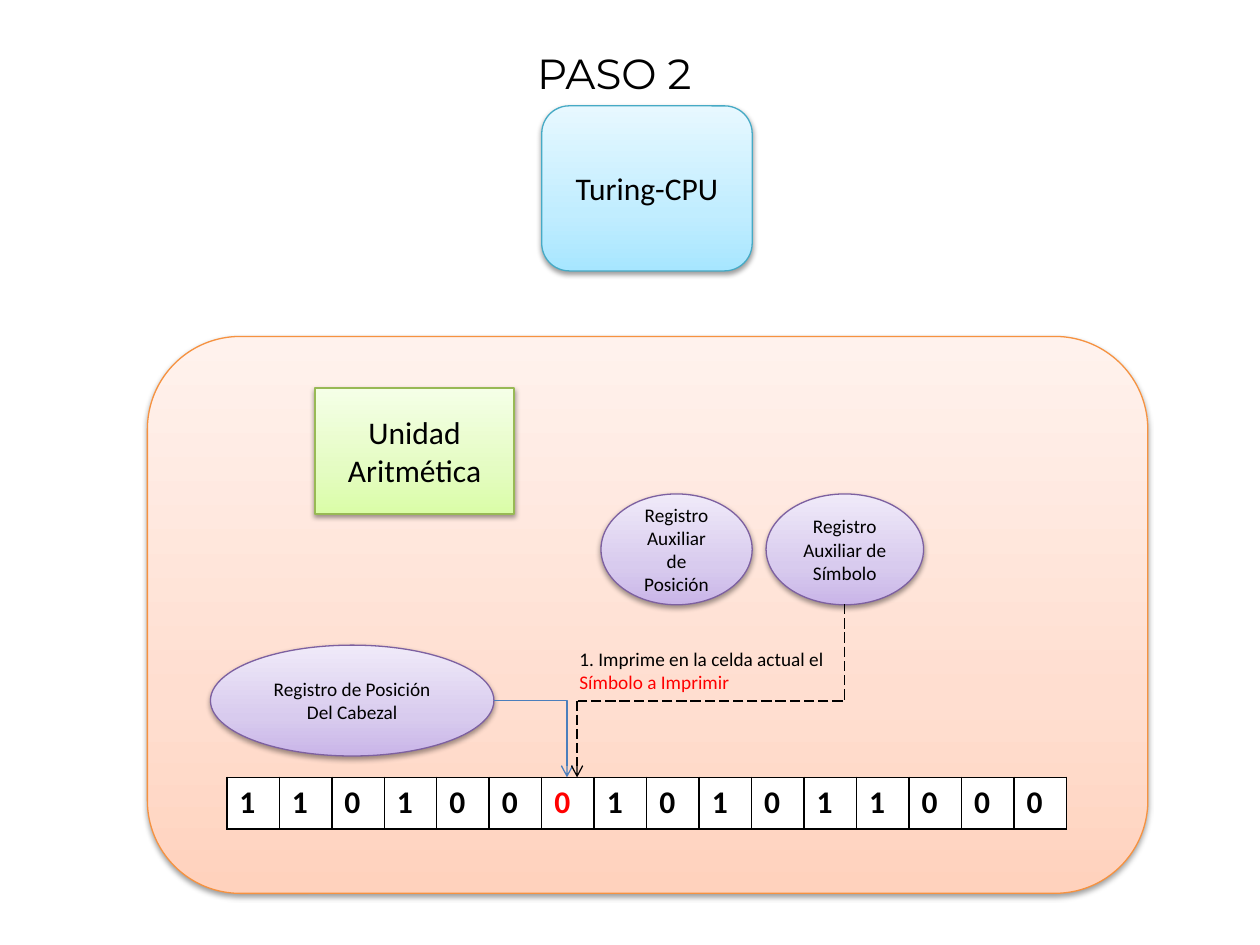
import pptx
import pptx.util
import pptx.dml.color
import pptx.enum.dml
import pptx.enum.shapes
import pptx.enum.text
import pptx.oxml
import pptx.oxml.ns
from lxml import etree

Inches = pptx.util.Inches
Pt = pptx.util.Pt
qn = pptx.oxml.ns.qn
Kind = pptx.enum.shapes.MSO_SHAPE
Link = pptx.enum.shapes.MSO_CONNECTOR
Align = pptx.enum.text.PP_ALIGN

# Gradient stops from bottom to top, then the outline
STOPS = (0, 35, 100)
ORANGE = ("FFD2BD", "FFDED0", "FFF2ED"), "F69240"
BLUE = ("A7E6FF", "C1EDFF", "E7F8FF"), "46AAC5"
GREEN = ("DAFDA7", "E4FCC2", "F5FFE7"), "98B955"
PURPLE = ("C9B5E8", "D8CBEE", "F0EAF9"), "7D60A0"
TAPE = "1101000101011000"
HEAD = 6


def color(code):
    return pptx.dml.color.RGBColor.from_string(code)


def node(parent, tag, **attrs):
    return etree.SubElement(parent, qn(tag), {k: str(v) for k, v in attrs.items()})


def tint(parent, tag, code, **attrs):
    return node(node(parent, tag, **attrs), "a:srgbClr", val=code)


def write(para, text, size, code="000000", align=None, name="Calibri", bold=False):
    para.alignment = align
    run = para.add_run()
    run.text = text
    style = {"size": Pt(size), "name": name, "bold": bold}
    for key, value in style.items():
        setattr(run.font, key, value)
    run.font.color.rgb = color(code)


def block(slide, kind, box, theme, text="", size=11):
    stops, edge = theme
    shape = slide.shapes.add_shape(kind, *map(Inches, box))
    shape.fill.gradient()
    grad = shape._element.spPr.find(qn("a:gradFill"))
    items = grad.find(qn("a:gsLst"))
    for old in list(items):
        items.remove(old)
    for pos, code in zip(STOPS, stops):
        tint(items, "a:gs", code, pos=pos * 1000)
    grad.find(qn("a:lin")).set("ang", "16200000")
    shape.line.color.rgb = color(edge)
    shape.line.width = Pt(0.75)
    # Soft shadow below the shape
    shape.shadow.inherit = False
    effect = shape._element.spPr.find(qn("a:effectLst"))
    shade = tint(effect, "a:outerShdw", "000000", blurRad=Pt(3.1), dist=Pt(1.6),
                 dir=5400000, rotWithShape=0)
    node(shade, "a:alpha", val=38000)
    if text:
        frame = shape.text_frame
        frame.word_wrap = True
        frame.vertical_anchor = pptx.enum.text.MSO_ANCHOR.MIDDLE
        write(frame.paragraphs[0], text, size, align=Align.CENTER)


def label(slide, box, lines, **style):
    frame = slide.shapes.add_textbox(*map(Inches, box)).text_frame
    frame.word_wrap = True
    for i, (text, code) in enumerate(lines):
        para = frame.add_paragraph() if i else frame.paragraphs[0]
        write(para, text, code=code, **style)


def link(slide, start, end, code="000000", bent=False, turn=0, dash=False, arrow=False):
    kind = Link.ELBOW if bent else Link.STRAIGHT
    line = slide.shapes.add_connector(kind, *map(Inches, start + end))
    line.line.color.rgb = color(code)
    line.line.width = Pt(0.75)
    if dash:
        line.line.dash_style = pptx.enum.dml.MSO_LINE.LONG_DASH
    props = line._element.spPr
    if bent:
        props.find(qn("a:prstGeom")).set("prst", "bentConnector2")
    if turn:
        props.find(qn("a:xfrm")).set("rot", str(turn * 60000))
    if arrow:
        node(props.find(qn("a:ln")), "a:tailEnd", type="arrow")
    node(props, "a:effectLst")


def tape(slide, box):
    grid = slide.shapes.add_table(1, len(TAPE), *map(Inches, box)).table
    for i, digit in enumerate(TAPE):
        grid.columns[i].width = Inches(box[2] / len(TAPE))
        cell = grid.cell(0, i)
        write(cell.text_frame.paragraphs[0], digit, 18,
              "FF0000" if i == HEAD else "000000", bold=True)
        props = cell._tc.get_or_add_tcPr()
        for side in "LRTB":
            edge = node(props, "a:ln" + side, w=Pt(1))
            tint(edge, "a:solidFill", "000000")
        cell.fill.solid()
        cell.fill.fore_color.rgb = color("FFFFFF")


def main():
    deck = pptx.Presentation()
    deck.slide_width, deck.slide_height = Inches(10), Inches(7.5)
    slide = deck.slides.add_slide(deck.slide_layouts[6])

    # Machine and title
    block(slide, Kind.ROUNDED_RECTANGLE, (1.17, 2.67, 7.94, 4.42), ORANGE)
    block(slide, Kind.ROUNDED_RECTANGLE, (4.3, 0.84, 1.67, 1.31), BLUE, "Turing-CPU", 18)
    label(slide, (1.92, 0.33, 6, 0.5), [("PASO 2 ", "000000")],
          size=24, name="Montserrat", align=Align.CENTER)
    tape(slide, (1.8, 6.17, 6.67, 0.41))

    # Units and registers
    block(slide, Kind.RECTANGLE, (2.5, 3.08, 1.58, 1), GREEN, "Unidad Aritmética", 18)
    for box, text in (
        ((1.67, 5.12, 2.25, 0.88), "Registro de Posición Del Cabezal"),
        ((4.77, 3.92, 1.2, 0.88), "Registro Auxiliar de Posición"),
        ((6.08, 3.92, 1.25, 0.88), "Registro Auxiliar de Símbolo"),
    ):
        block(slide, Kind.OVAL, box, PURPLE, text)

    # Paths to the current cell
    link(slide, (3.92, 5.56), (4.5, 6.17), "4B7EBC", bent=True, arrow=True)
    link(slide, (5.26, 4.12), (6.03, 6.24), bent=True, turn=90, dash=True)
    link(slide, (4.58, 5.56), (4.58, 6.17), dash=True, arrow=True)
    label(slide, (4.5, 5.09, 2.28, 0.47),
          [("1. Imprime en la celda actual el", "000000"),
           ("Símbolo a Imprimir", "FF0000")], size=11)

    deck.save("out.pptx")


main()
